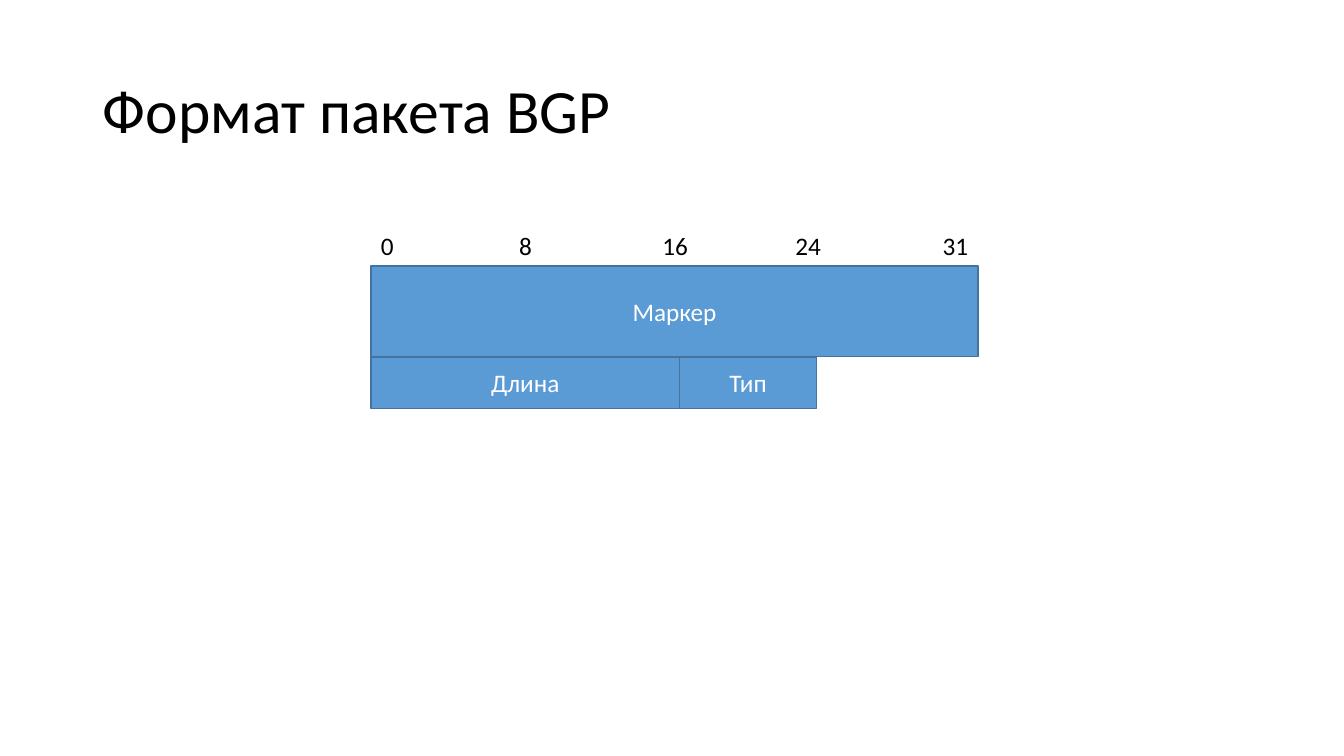
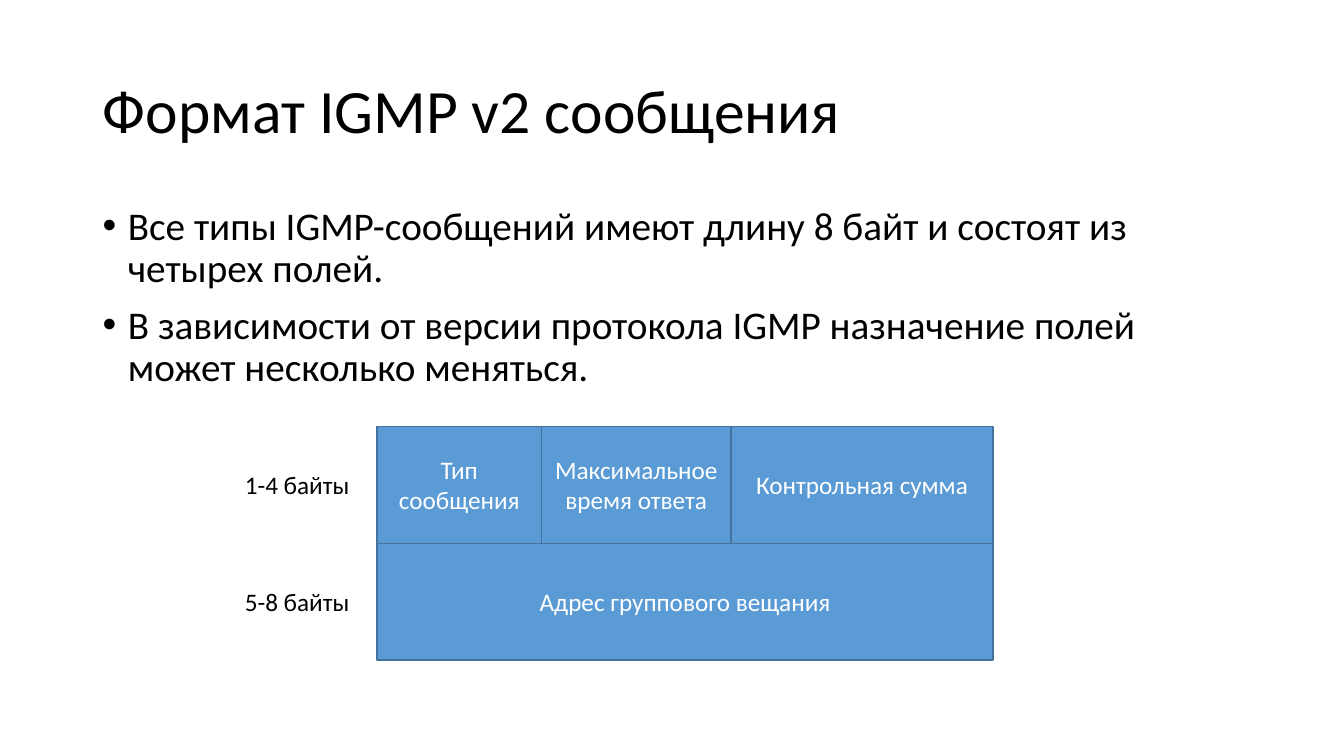
"""Two slides with the field layouts of BGP packets and IGMP messages."""
from dataclasses import dataclass

from lxml import etree
from pptx import Presentation
from pptx import util as u
from pptx.dml.color import RGBColor
from pptx.enum import shapes, text
from pptx.oxml.ns import qn


@dataclass(frozen=True)
class Theme:
    font: str = "Calibri"
    ink: str = "000000"
    paper: str = "FFFFFF"
    field: str = "5B9BD5"
    border: str = "43739E"
    title: int = 44
    body: int = 28
    label: int = 18


theme = Theme()
WIDTH, HEIGHT = 13.33, 7.5
MARGIN, CONTENT = 0.92, 11.5
CAPTION = 0.4

TITLE_FRAME = {"word_wrap": True, "vertical_anchor": text.MSO_ANCHOR.MIDDLE}
BODY_FRAME = {"word_wrap": True, "vertical_anchor": text.MSO_ANCHOR.TOP}
CAPTION_FRAME = {"auto_size": text.MSO_AUTO_SIZE.SHAPE_TO_FIT_TEXT}
TITLE_LINES = {"line_spacing": 0.9}
BODY_LINES = {"line_spacing": 0.9, "space_before": u.Pt(10)}
FIELD_LINES = {"alignment": text.PP_ALIGN.CENTER}

packets = [
    {
        "title": "Формат пакета BGP",
        "bullets": [],
        "origin": (3.68, 2.64),
        "rows": [
            (0.9, [("Маркер", 6.02)]),
            (0.51, [("Длина", 3.06), ("Тип", 1.36)]),
        ],
        "bits": [("0", 3.68, 0.33), ("8", 5.05, 0.33), ("16", 6.47, 0.45),
                 ("24", 7.79, 0.45), ("31", 9.25, 0.45)],
        "row_names": [],
    },
    {
        "title": "Формат IGMP v2 сообщения",
        "bullets": [
            "Все типы IGMP-сообщений имеют длину 8 байт и состоят из четырех полей.",
            "В зависимости от версии протокола IGMP назначение полей может несколько меняться.",
        ],
        "origin": (3.74, 4.23),
        "rows": [
            (1.16, [("Тип сообщения", 1.63), ("Максимальное время ответа", 1.88),
                    ("Контрольная сумма", 2.6)]),
            (1.16, [("Адрес группового вещания", 6.11)]),
        ],
        "bits": [],
        "row_names": ["1-4 байты", "5-8 байты"],
    },
]


def write(shape, lines, size, color, frame_format, line_format):
    """Fill a shape with formatted paragraphs."""
    frame = shape.text_frame
    for name, value in frame_format.items():
        setattr(frame, name, value)
    for index, line in enumerate(lines):
        paragraph = frame.add_paragraph() if index else frame.paragraphs[0]
        for name, value in line_format.items():
            setattr(paragraph, name, value)
        run = paragraph.add_run()
        run.text = line
        run.font.name, run.font.size = theme.font, u.Pt(size)
        run.font.color.rgb = RGBColor.from_string(color)


def box(*lengths):
    """Turn lengths in inches into slide units."""
    return [u.Inches(length) for length in lengths]


prs = Presentation()
prs.slide_width, prs.slide_height = box(WIDTH, HEIGHT)

for packet in packets:
    slide = prs.slides.add_slide(prs.slide_layouts[6])
    heading = slide.shapes.add_textbox(*box(MARGIN, 0.4, CONTENT, 1.45))
    write(heading, [packet["title"]], theme.title, theme.ink, TITLE_FRAME, TITLE_LINES)

    if packet["bullets"]:
        body = slide.shapes.add_textbox(*box(MARGIN, 2, CONTENT, 4.76))
        write(body, packet["bullets"], theme.body, theme.ink, BODY_FRAME, BODY_LINES)
        for paragraph in body.text_frame.paragraphs:
            properties = paragraph._p.get_or_add_pPr()
            properties.set("marL", str(u.Inches(0.25)))
            properties.set("indent", str(-u.Inches(0.25)))
            etree.SubElement(properties, qn("a:buFont"), typeface="Arial")
            etree.SubElement(properties, qn("a:buChar"), char="•")

    left, top = packet["origin"]
    row_top, row_middles = top, []
    for row_height, fields in packet["rows"]:
        field_left = left
        for name, field_width in fields:
            field = slide.shapes.add_shape(
                shapes.MSO_SHAPE.RECTANGLE, *box(field_left, row_top, field_width, row_height))
            field.shadow.inherit = False
            field.fill.solid()
            field.fill.fore_color.rgb = RGBColor.from_string(theme.field)
            field.line.color.rgb = RGBColor.from_string(theme.border)
            field.line.width = u.Pt(1)
            write(field, [name], theme.label, theme.paper, TITLE_FRAME, FIELD_LINES)
            field_left += field_width
        row_middles.append(row_top + row_height / 2)
        row_top += row_height

    captions = [(bit, bit_left, top - CAPTION, bit_width, False)
                for bit, bit_left, bit_width in packet["bits"]]
    captions += [(name, 2.33, middle - CAPTION / 2, 1.77, True)
                 for name, middle in zip(packet["row_names"], row_middles)]
    for name, caption_left, caption_top, caption_width, wraps in captions:
        caption = slide.shapes.add_textbox(
            *box(caption_left, caption_top, caption_width, CAPTION))
        write(caption, [name], theme.label, theme.ink, {**CAPTION_FRAME, "word_wrap": wraps}, {})

prs.save("out.pptx")
